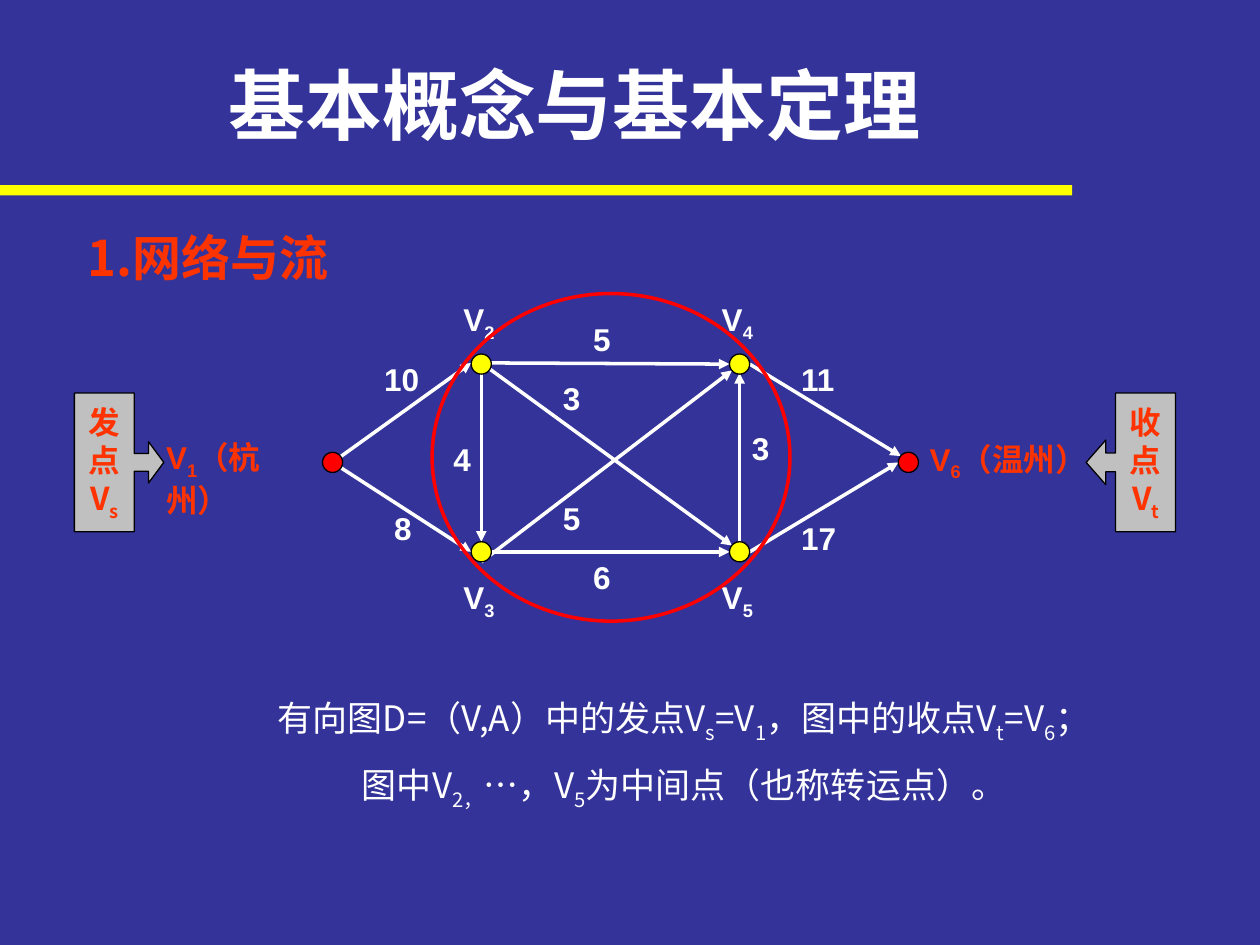
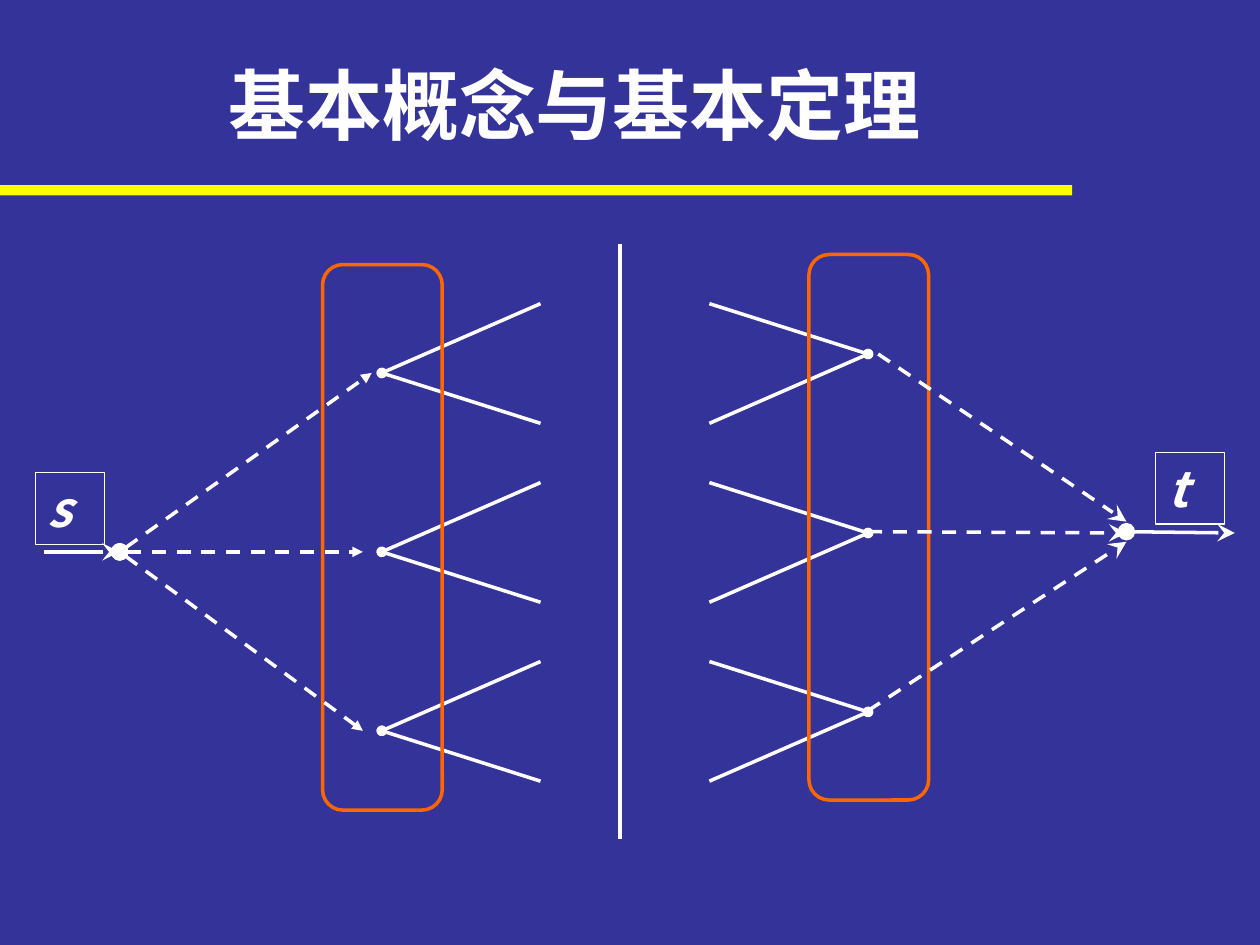
from lxml import etree
from pptx import Presentation
from pptx.dml.color import RGBColor
from pptx.enum import dml, shapes, text
from pptx.oxml.ns import qn
from pptx.util import Inches, Pt

NAVY, YELLOW, WHITE, BLACK = "333399", "FFFF00", "FFFFFF", "000000"
RED, ORANGE_RED, ORANGE, GREY = "FF0000", "FF3300", "FF6600", "C0C0C0"
ARIAL, NOTO = "Arial", "Noto Sans CJK SC"
TITLE = "基本概念与基本定理"
TITLE_ONLY, TITLE_AND_BODY = 5, 1
SHAPE = shapes.MSO_SHAPE


def color(code):
    return RGBColor.from_string(code)


class SlideMaker:
    """Holds the shared style and the slide being drawn."""

    def __init__(self):
        self.deck = Presentation()
        self.deck.slide_width, self.deck.slide_height = Inches(10), Inches(7.5)
        self.page = None

    def new_page(self, layout):
        self.page = self.deck.slides.add_slide(self.deck.slide_layouts[layout])
        fill = self.page.background.fill
        fill.solid()
        fill.fore_color.rgb = color(NAVY)
        self.shape(SHAPE.RECTANGLE, 0, 1.47, 8.51, 0.08, fill=YELLOW)
        title = self.page.shapes.title
        self.place(title, 1.71, 0.41, 6.36, 0.84)
        self.set_text(title, [TITLE], size=44)

    def place(self, box, left, top, width, height):
        box.left, box.top = Inches(left), Inches(top)
        box.width, box.height = Inches(width), Inches(height)

    def set_text(self, box, lines, size=18, font=ARIAL, ink=WHITE, bold=True, italic=False,
                 align=text.PP_ALIGN.LEFT, anchor=text.MSO_ANCHOR.TOP, spacing=1.0, wrap=True):
        """Fill a box; in each line, the parts between bars are subscripts."""
        frame = box.text_frame
        frame.auto_size = text.MSO_AUTO_SIZE.NONE
        frame.word_wrap, frame.vertical_anchor = wrap, anchor
        for number, line in enumerate(lines):
            para = frame.add_paragraph() if number else frame.paragraphs[0]
            para.alignment, para.line_spacing = align, spacing
            para.space_before = Pt(0)
            properties = para._p.get_or_add_pPr()
            properties.set("marL", "0")
            properties.set("indent", "0")
            etree.SubElement(properties, qn("a:buNone"))
            para.font.name, para.font.size = font, Pt(size)
            para.font.bold, para.font.italic = bold, italic
            para.font.color.rgb = color(ink)
            for index, part in enumerate(line.split("|")):
                if part:
                    span = para.add_run()
                    span.text = part
                    if index % 2:
                        span._r.get_or_add_rPr().set("baseline", "-25000")

    def label(self, left, top, width, height, line, **style):
        box = self.page.shapes.add_textbox(
            Inches(left), Inches(top), Inches(width), Inches(height))
        self.set_text(box, [line], **style)

    def shape(self, kind, left, top, width, height, fill=None, line=None, weight=0.75,
              adjustments=()):
        item = self.page.shapes.add_shape(
            kind, Inches(left), Inches(top), Inches(width), Inches(height))
        item.shadow.inherit = False
        for index, value in enumerate(adjustments):
            item.adjustments[index] = value
        for paint, code in ((item.fill, fill), (item.line.fill, line)):
            if code:
                paint.solid()
                paint.fore_color.rgb = color(code)
            else:
                paint.background()
        if line:
            item.line.width = Pt(weight)
        return item

    def line(self, start, end, head=None, tail=None, dashed=False):
        """Draw a line; head and tail are (type, size) marks at start and end."""
        item = self.page.shapes.add_connector(
            shapes.MSO_CONNECTOR.STRAIGHT, *map(Inches, (*start, *end)))
        item.line.color.rgb = color(WHITE)
        item.line.width = Pt(2)
        if dashed:
            item.line.dash_style = dml.MSO_LINE.DASH
        properties = item._element.spPr
        stroke = properties.find(qn("a:ln"))
        for tag, mark in (("a:headEnd", head), ("a:tailEnd", tail)):
            if mark:
                kind, size = mark
                etree.SubElement(stroke, qn(tag), type=kind, w=size, len=size)
        etree.SubElement(properties, qn("a:effectLst"))


TRIANGLE, DOT = ("triangle", "med"), ("oval", "med")
BIG_DOT, STEALTH = ("oval", "lg"), ("stealth", "lg")


def network_page(maker):
    maker.new_page(TITLE_AND_BODY)
    maker.label(0.6, 1.76, 2.83, 0.57, "1.网络与流", size=28, font=NOTO, ink=ORANGE_RED)
    body = maker.page.placeholders[1]
    maker.place(body, 1.77, 5.33, 7.32, 1.13)
    maker.set_text(body, ["有向图D=（V,A）中的发点V|s|=V|1|，图中的收点V|t|=V|6|；",
                          "图中V|2，|…，V|5|为中间点（也称转运点）。"],
                   size=20, font=NOTO, bold=False, align=text.PP_ALIGN.CENTER, spacing=1.4)

    edges = [((2.64, 3.67), (3.74, 2.88)), ((2.64, 3.67), (3.74, 4.38)),
             ((3.82, 2.88), (3.82, 4.3)), ((3.82, 2.88), (5.79, 2.89)),
             ((3.82, 4.38), (5.79, 4.38)), ((3.82, 2.88), (5.81, 4.33)),
             ((3.82, 4.46), (5.81, 2.94)), ((5.87, 4.46), (5.87, 2.96)),
             ((5.95, 2.89), (7.15, 3.62)), ((5.95, 4.38), (7.13, 3.67))]
    for start, end in edges:
        maker.line(start, end, tail=TRIANGLE)

    inner = [(x, y, YELLOW) for x in (3.74, 5.79) for y in (2.81, 4.3)]
    for x, y, fill in inner + [(2.56, 3.59, RED), (7.13, 3.59, RED)]:
        maker.shape(SHAPE.OVAL, x, y, 0.16, 0.16, fill=fill, line=BLACK)

    node_names = [(3.58, 2.33, "2"), (3.58, 4.54, "3"), (5.63, 2.33, "4"), (5.63, 4.54, "5")]
    for x, y, number in node_names:
        maker.label(x, y, 0.5, 0.44, f"V|{number}|")
    maker.label(1.22, 3.43, 1.34, 0.74, "V|1|（杭州）", ink=ORANGE_RED)
    maker.label(7.28, 3.44, 1.65, 0.44, "V|6|（温州）", ink=ORANGE_RED)

    capacities = [(2.95, 2.81, "10"), (3.03, 3.99, "8"), (3.5, 3.44, "4"), (4.61, 4.38, "6"),
                  (4.61, 2.49, "5"), (4.37, 2.96, "3"), (4.37, 3.91, "5"), (5.87, 3.36, "3"),
                  (6.26, 2.81, "11"), (6.26, 4.07, "17")]
    for x, y, capacity in capacities:
        maker.label(x, y, 0.18 + 0.16 * len(capacity), 0.4, capacity)

    callouts = [(SHAPE.RIGHT_ARROW_CALLOUT, 0.59, (0.2, 0.23, 0.17, 0.67), "发", "s"),
                (SHAPE.LEFT_ARROW_CALLOUT, 8.62, (0.21, 0.25, 0.22, 0.67), "收", "t")]
    for kind, x, adjustments, role, index in callouts:
        box = maker.shape(kind, x, 3.12, 0.71, 1.1, GREY, BLACK, adjustments=adjustments)
        maker.set_text(box, [role, "点", f"V|{index}|"], font=NOTO, ink=ORANGE_RED,
                       align=text.PP_ALIGN.CENTER, anchor=text.MSO_ANCHOR.MIDDLE, wrap=False)
    maker.shape(SHAPE.OVAL, 3.43, 2.33, 2.84, 2.6, line=RED, weight=2)


def cut_page(maker):
    maker.new_page(TITLE_ONLY)
    row_gap = 1.42
    for row in range(3):
        drop = row * row_gap
        source_side, sink_side = (3.03, 2.96 + drop), (6.89, 2.81 + drop)
        for y in (2.41 + drop, 3.36 + drop):
            maker.line(source_side, (4.29, y), head=DOT)
            maker.line(sink_side, (5.63, y), head=DOT)
    maker.line((4.92, 1.94), (4.92, 6.66))
    for x, y in ((6.42, 2.02), (2.56, 2.1)):
        maker.shape(SHAPE.ROUNDED_RECTANGLE, x, y, 0.95, 4.33, line=ORANGE, weight=2,
                    adjustments=(0.17,))

    source, sink = (0.95, 4.38), (8.94, 4.22)
    for end in ((2.88, 4.38), (2.95, 2.96), (2.88, 5.8)):
        maker.line(source, end, head=BIG_DOT, tail=TRIANGLE, dashed=True)
    maker.line((0.35, 4.38), source, tail=STEALTH)
    for start, y in (((6.89, 4.22), 4.23), ((6.97, 2.81), 4.14), ((6.89, 5.64), 4.3)):
        maker.line(start, (8.94, y), tail=STEALTH, dashed=True)
    maker.line(sink, (9.8, 4.23), head=BIG_DOT, tail=STEALTH)
    for x, y, name in ((0.28, 3.75, "s"), (9.17, 3.59, "t")):
        box = maker.shape(SHAPE.RECTANGLE, x, y, 0.55, 0.57, line=WHITE)
        maker.set_text(box, [name], size=28, font=NOTO, italic=True)


def main():
    maker = SlideMaker()
    network_page(maker)
    cut_page(maker)
    maker.deck.save("out.pptx")


if __name__ == "__main__":
    main()
